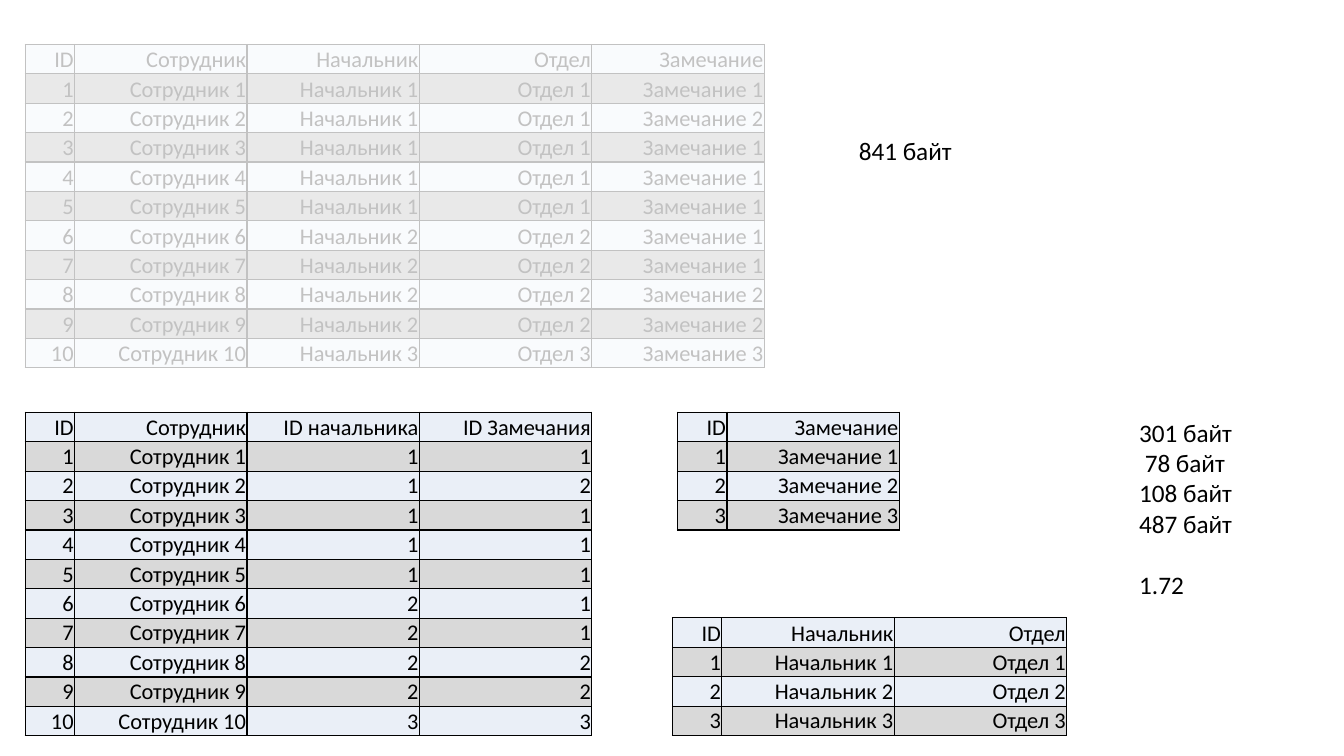
from dataclasses import dataclass

from lxml.etree import SubElement as Sub
from pptx import Presentation
from pptx.dml.color import RGBColor as RGB
from pptx.enum.shapes import MSO_SHAPE as Shape
from pptx.enum.text import MSO_ANCHOR as Anchor, MSO_AUTO_SIZE as Fit, PP_ALIGN as Align
from pptx.oxml import parse_xml
from pptx.oxml.ns import nsdecls, qn
from pptx.util import Inches, Pt

FONT = "Calibri"
COLORS = {"ink": "000000", "pale": "EAEFF7", "gray": "D9D9D9",
          "dark": "A6A6A6", "veil": "FFFFFF"}
ROW = Inches(3.21) // 11
ID_COL, COL = Inches(0.49), Inches(1.71)
LINE = Pt(22)

BOSSES = [1, 1, 1, 1, 1, 2, 2, 2, 2, 3]
NOTES = [1, 2, 1, 1, 1, 1, 1, 2, 2, 3]


@dataclass
class Grid:
    """A data table: its place, header, rows and band style."""
    left: float
    top: float
    head: list[str]
    rows: list[list[str]]
    band: str = "gray"
    anchor: Anchor = Anchor.MIDDLE


@dataclass
class Label:
    """A text block of one or more lines."""
    left: float
    top: float
    height: float
    lines: list[str]


def color(name: str) -> RGB:
    """Look up a named colour."""
    return RGB.from_string(COLORS[name])


def style(par, size: int) -> None:
    """Format every run of a paragraph."""
    for run in par.runs:
        run.font.size = Pt(size)
        run.font.name = FONT
        run.font.color.rgb = color("ink")


def add_edges(cell) -> None:
    """Give a cell four thin borders, placed before its fill."""
    props = cell._tc.get_or_add_tcPr()
    for i, side in enumerate("LRTB"):
        props.insert(i, parse_xml(
            f'<a:ln{side} {nsdecls("a")} w="{Pt(1)}"><a:solidFill>'
            f'<a:srgbClr val="{COLORS["ink"]}"/></a:solidFill></a:ln{side}>'))


def fill_cell(cell, text: str, fill: str, anchor: Anchor) -> None:
    """Write and format one table cell."""
    cell.text_frame.text = text
    par = cell.text_frame.paragraphs[0]
    par.alignment = Align.RIGHT
    style(par, 16)
    cell.margin_left = cell.margin_right = cell.margin_top = Inches(0.01)
    cell.margin_bottom = 0
    cell.vertical_anchor = anchor
    cell.fill.solid()
    cell.fill.fore_color.rgb = color(fill)
    add_edges(cell)


def add_grid(slide, grid: Grid) -> None:
    """Draw a table with alternating row fills."""
    data = [grid.head, *grid.rows]
    count = len(grid.head)
    table = slide.shapes.add_table(
        len(data), count, Inches(grid.left), Inches(grid.top),
        ID_COL + COL * (count - 1), ROW * len(data)).table
    table.first_row = table.horz_banding = False
    for i, col in enumerate(table.columns):
        col.width = COL if i else ID_COL
    for r, row in enumerate(data):
        table.rows[r].height = ROW
        fill = grid.band if r % 2 else "pale"
        anchor = grid.anchor if r else Anchor.BOTTOM
        for c, text in enumerate(row):
            fill_cell(table.cell(r, c), text, fill, anchor)


def add_veil(slide) -> None:
    """Fade the first table with a translucent sheet."""
    veil = slide.shapes.add_shape(Shape.RECTANGLE, Inches(-0.66), Inches(-0.17),
                                  Inches(8.4), Inches(4.26))
    veil.shadow.inherit = False
    veil.line.fill.background()
    veil.fill.solid()
    veil.fill.fore_color.rgb = color("veil")
    tint = veil._element.spPr.find(qn("a:solidFill"))[0]
    Sub(tint, qn("a:alpha")).set("val", "76000")


def add_label(slide, label: Label):
    """Draw a text block and return its paragraphs."""
    box = slide.shapes.add_textbox(Inches(label.left), Inches(label.top),
                                   Inches(1.13), Inches(label.height))
    frame = box.text_frame
    frame.word_wrap = False
    frame.auto_size = Fit.SHAPE_TO_FIT_TEXT
    frame.text = "\n".join(label.lines)
    for par in frame.paragraphs:
        par.alignment = Align.LEFT
        style(par, 18)
    return frame.paragraphs


def main() -> None:
    """Build and save the slide."""
    deck = Presentation()
    deck.slide_width, deck.slide_height = Inches(13.33), Inches(7.5)
    slide = deck.slides.add_slide(deck.slide_layouts[6])

    staff = list(enumerate(zip(BOSSES, NOTES), 1))
    full = [[f"{n}", f"Сотрудник {n}", f"Начальник {boss}", f"Отдел {boss}",
             f"Замечание {note}"] for n, (boss, note) in staff]
    keys = [[f"{n}", f"Сотрудник {n}", f"{boss}", f"{note}"]
            for n, (boss, note) in staff]
    notes = [[f"{n}", f"Замечание {n}"] for n in range(1, 4)]
    bosses = [[f"{n}", f"Начальник {n}", f"Отдел {n}"] for n in range(1, 4)]

    add_grid(slide, Grid(0.25, 0.44,
                         ["ID", "Сотрудник", "Начальник", "Отдел", "Замечание"],
                         full, "dark", Anchor.BOTTOM))
    add_veil(slide)
    for grid in (
        Grid(0.25, 4.09, ["ID", "Сотрудник", "ID начальника", "ID Замечания"], keys),
        Grid(6.72, 4.09, ["ID", "Замечание"], notes),
        Grid(6.67, 6.13, ["ID", "Начальник", "Отдел"], bosses),
    ):
        add_grid(slide, grid)

    sizes = add_label(slide, Label(11.2, 4.09, 2.22, [
        "301 байт", " 78 байт", "108 байт", "487 байт", "1.72"]))
    sizes[-1].space_before = LINE
    add_label(slide, Label(8.42, 1.29, 0.4, ["841 байт"]))
    deck.save("out.pptx")


main()
